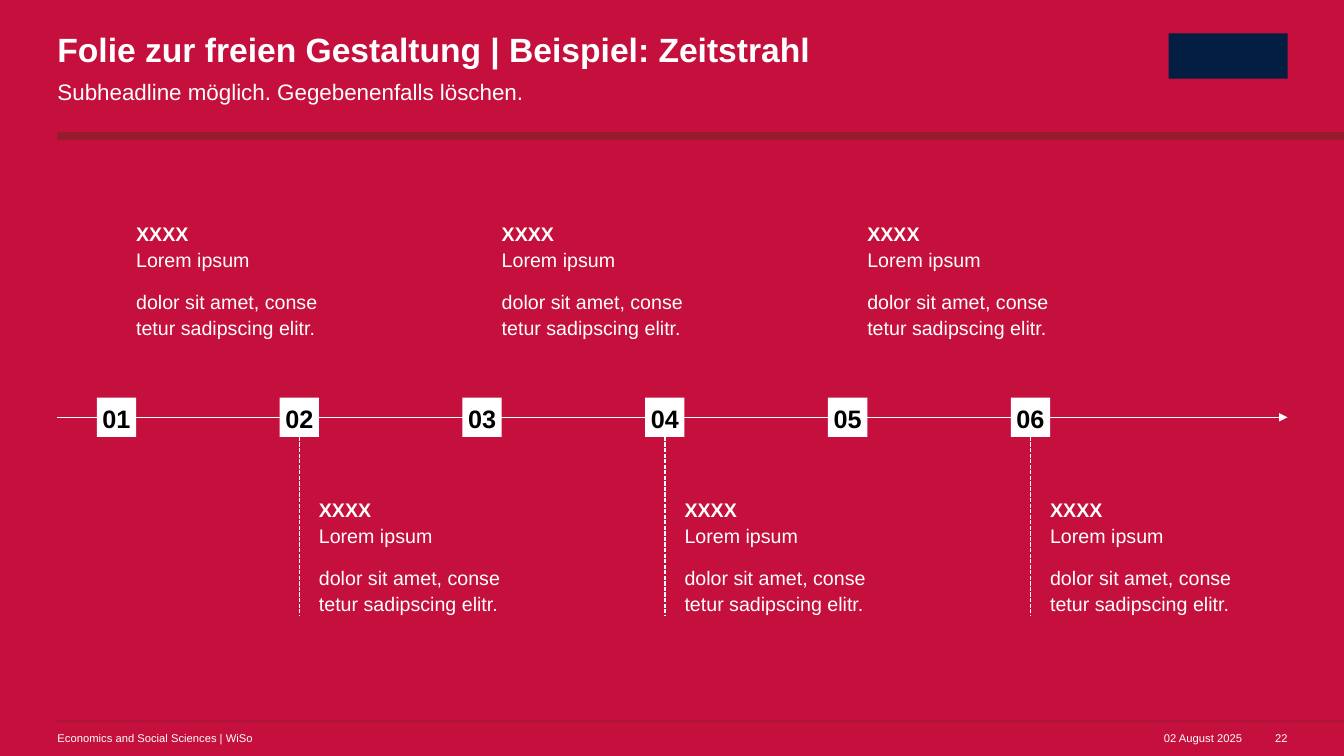
from lxml.etree import SubElement
from pptx import Presentation
from pptx.dml.color import RGBColor
from pptx.enum.dml import MSO_LINE
from pptx.enum.shapes import MSO_CONNECTOR, MSO_SHAPE
from pptx.enum.text import MSO_ANCHOR, PP_ALIGN
from pptx.oxml.ns import qn
from pptx.util import Inches, Pt

CRIMSON = RGBColor(0xC5, 0x0F, 0x3C)
DARK_RED = RGBColor(0x97, 0x1B, 0x2F)
NAVY = RGBColor(0x04, 0x1E, 0x42)
WHITE = RGBColor(0xFF, 0xFF, 0xFF)
BLACK = RGBColor(0, 0, 0)
FONT = "Arial"

SLIDE_WIDTH, SLIDE_HEIGHT = 13.33, 7.5
LEFT, RIGHT = 0.57, 12.77
MARKER_SIZE = 0.39
MARKER_STEP = 1.813
STEM_LENGTH = 1.77
MILESTONE = ["XXXX\nLorem ipsum", "dolor sit amet, conse\ntetur sadipscing elitr."]
MILESTONES = [MILESTONE] * 6


def write_text(frame, paragraphs, size=14, color=WHITE, bold=False, lead_bold=False,
               align=PP_ALIGN.LEFT, anchor=MSO_ANCHOR.TOP, spacing=1.0, after=0, inset_right=0):
    """Fill a text frame with paragraphs, whose newlines become line breaks."""
    frame.word_wrap = True
    frame.vertical_anchor = anchor
    frame.margin_left = frame.margin_top = frame.margin_bottom = 0
    frame.margin_right = Inches(inset_right)
    for index, text in enumerate(paragraphs):
        paragraph = frame.add_paragraph() if index else frame.paragraphs[0]
        paragraph.alignment = align
        paragraph.line_spacing = spacing
        paragraph.space_after = Pt(after)
        for line_index, line in enumerate(text.split("\n")):
            if line_index:
                paragraph.add_line_break()
                line_break = paragraph._p.findall(qn("a:br"))[-1]
                SubElement(line_break, qn("a:rPr"), sz=str(size * 100))
            run = paragraph.add_run()
            run.text = line
            run.font.name = FONT
            run.font.size = Pt(size)
            run.font.bold = bold or (lead_bold and index == line_index == 0)
            run.font.color.rgb = color


def add_text(slide, left, top, width, height, paragraphs, **text_format):
    """Add a text box with formatted paragraphs."""
    box = slide.shapes.add_textbox(Inches(left), Inches(top), Inches(width), Inches(height))
    write_text(box.text_frame, paragraphs, **text_format)


def add_rectangle(slide, left, top, width, height, color):
    """Add a plain filled rectangle."""
    shape = slide.shapes.add_shape(
        MSO_SHAPE.RECTANGLE, Inches(left), Inches(top), Inches(width), Inches(height))
    shape.shadow.inherit = False
    shape.fill.solid()
    shape.fill.fore_color.rgb = color
    shape.line.fill.background()
    return shape


def add_line(slide, start, end, dashed=False, arrow=False):
    """Add a thin white line, dashed or with an arrowhead if asked."""
    connector = slide.shapes.add_connector(
        MSO_CONNECTOR.STRAIGHT, *(Inches(value) for value in (*start, *end)))
    connector.line.color.rgb = WHITE
    connector.line.width = Pt(1)
    if dashed:
        connector.line.dash_style = MSO_LINE.SQUARE_DOT
    if arrow:
        SubElement(connector.line._get_or_add_ln(), qn("a:tailEnd"), type="triangle")
    SubElement(connector._element.spPr, qn("a:effectLst"))


def add_header(slide, left, top):
    """Place the title, subheadline, emblem block and dividing bar."""
    add_text(slide, left, top, 7.49, 0.36,
             ["Folie zur freien Gestaltung | Beispiel: Zeitstrahl"],
             size=24, bold=True, spacing=0.9)
    add_text(slide, left, top + 0.42, 7.49, 0.27,
             ["Subheadline möglich. Gegebenenfalls löschen."],
             size=16, spacing=1.1, after=12, inset_right=0.39)
    add_rectangle(slide, RIGHT - 1.18, top, 1.18, 0.45, NAVY)
    add_rectangle(slide, left, top + 0.98, SLIDE_WIDTH - left, 0.08, DARK_RED)


def add_footer(slide, left, top):
    """Place the footer rule, department, date and slide number."""
    add_rectangle(slide, left, top, SLIDE_WIDTH - left, 0.01, DARK_RED)
    text_top = top + 0.11
    add_text(slide, left, text_top, 5.98, 0.13, ["Economics and Social Sciences | WiSo"], size=8)
    for right, width, text in ((12.32, 0.93, "02 August 2025"), (RIGHT, 0.21, "22")):
        add_text(slide, right - width, text_top, width, 0.13, [text],
                 size=8, align=PP_ALIGN.RIGHT)


def add_timeline(slide, left, axis, right):
    """Place the arrow and milestones, with texts alternating above and below."""
    add_line(slide, (left, axis), (right, axis), arrow=True)
    marker_top = axis - MARKER_SIZE / 2
    marker_bottom = axis + MARKER_SIZE / 2
    for index, paragraphs in enumerate(MILESTONES):
        marker_left = left + 0.39 + index * MARKER_STEP
        marker = add_rectangle(slide, marker_left, marker_top, MARKER_SIZE, MARKER_SIZE, WHITE)
        write_text(marker.text_frame, [f"{index + 1:02}"], size=18, color=BLACK, bold=True,
                   align=PP_ALIGN.CENTER, anchor=MSO_ANCHOR.MIDDLE, spacing=1.1, after=12)
        below = index % 2 == 1
        text_top = marker_bottom + 0.58 if below else marker_top - STEM_LENGTH
        add_text(slide, marker_left + MARKER_SIZE, text_top, 1.95, 1.18, paragraphs,
                 lead_bold=True, spacing=1.1, after=12)
        if below:
            center = marker_left + MARKER_SIZE / 2
            add_line(slide, (center, marker_bottom), (center, marker_bottom + STEM_LENGTH),
                     dashed=True)


def main():
    """Build the timeline slide and save it."""
    presentation = Presentation()
    presentation.slide_width = Inches(SLIDE_WIDTH)
    presentation.slide_height = Inches(SLIDE_HEIGHT)
    slide = presentation.slides.add_slide(presentation.slide_layouts[6])
    slide.background.fill.solid()
    slide.background.fill.fore_color.rgb = CRIMSON
    add_header(slide, LEFT, 0.33)
    add_footer(slide, LEFT, 7.15)
    add_timeline(slide, LEFT, 4.14, RIGHT)
    presentation.save("out.pptx")


if __name__ == "__main__":
    main()
